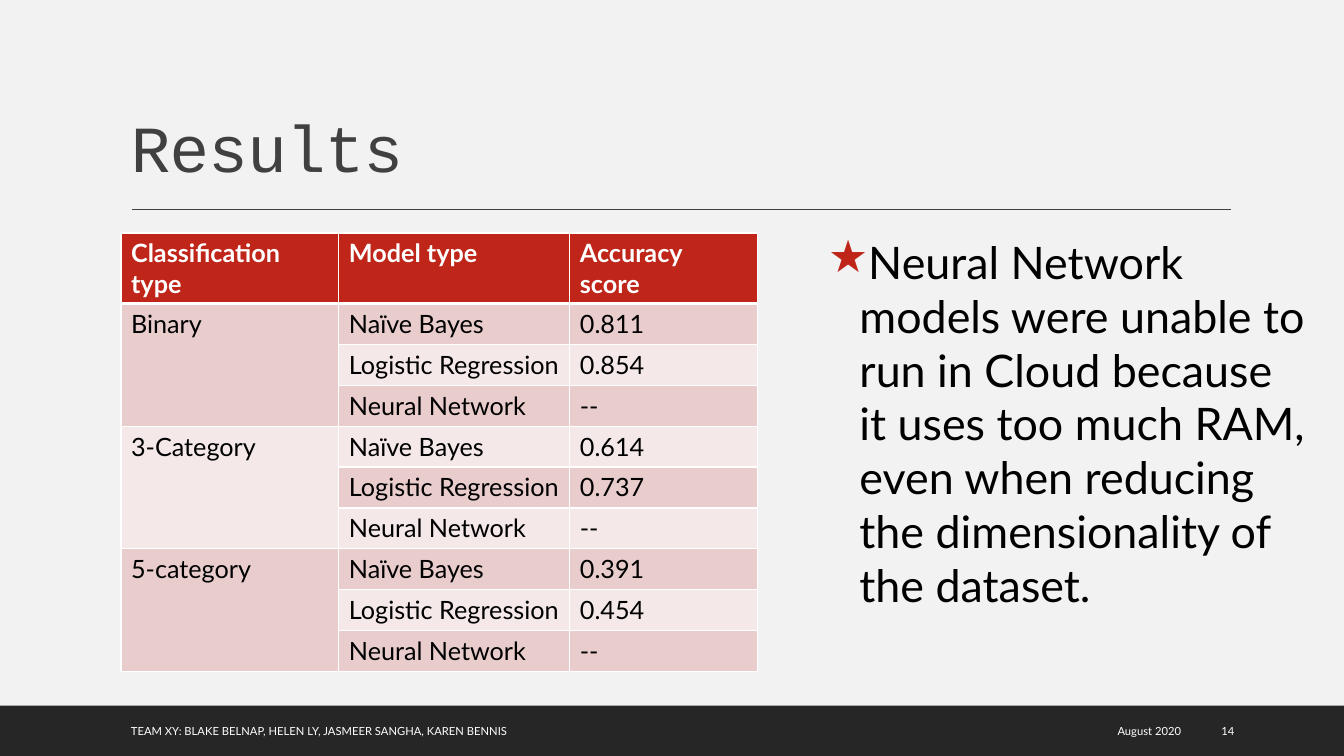
"""Build the classification results slide."""
from lxml.etree import SubElement
from pptx import Presentation
from pptx.dml.color import RGBColor
from pptx.enum.shapes import MSO_CONNECTOR, MSO_SHAPE
from pptx.enum.text import MSO_ANCHOR as Anchor, MSO_AUTO_SIZE as AutoSize, PP_ALIGN as Align
from pptx.oxml.ns import qn
from pptx.util import Cm, Pt


def color(value):
    return RGBColor.from_string(value)


class ResultsSlide:
    body_font = "Lato"
    title_font = "Courier New"
    white, black, dark, gray = "FFFFFF", "000000", "262626", "404040"
    red, bands = "BF2519", ("E8CDCC", "F4E8E8")

    def __init__(self, presentation):
        self.slide = presentation.slides.add_slide(presentation.slide_layouts[6])
        background = self.slide.background.fill
        background.solid()
        background.fore_color.rgb = color("F2F2F2")

    def style(self, paragraph, size, shade, font=None, bold=False):
        paragraph.font.name = font or self.body_font
        paragraph.font.size = Pt(size)
        paragraph.font.bold = bold
        paragraph.font.color.rgb = color(shade)

    def bar(self, left, top, width, height):
        bar = self.slide.shapes.add_shape(
            MSO_SHAPE.RECTANGLE, Cm(left), Cm(top), Cm(width), Cm(height))
        bar.shadow.inherit = False
        bar.fill.solid()
        bar.fill.fore_color.rgb = color(self.dark)
        bar.line.fill.background()

    def rule(self, left, right, y):
        rule = self.slide.shapes.add_connector(
            MSO_CONNECTOR.STRAIGHT, Cm(left), Cm(y), Cm(right), Cm(y))
        rule.line.color.rgb = color(self.gray)
        rule.line.width = Pt(1)
        SubElement(rule._element.spPr, qn("a:effectLst"))

    def text(self, words, left, top, width, height, size, shade,
             font=None, anchor=Anchor.MIDDLE, align=Align.LEFT):
        frame = self.slide.shapes.add_textbox(
            Cm(left), Cm(top), Cm(width), Cm(height)).text_frame
        frame.word_wrap = True
        frame.vertical_anchor = anchor
        paragraph = frame.paragraphs[0]
        paragraph.text = words
        paragraph.alignment = align
        self.style(paragraph, size, shade, font)
        return frame

    def title(self, words):
        frame = self.text(words, 3.05, 0.79, 27.94, 4.04, 47, self.gray,
                          self.title_font, Anchor.BOTTOM)
        paragraph = frame.paragraphs[0]
        paragraph.line_spacing = 0.9
        paragraph.runs[0]._r.get_or_add_rPr().set("spc", "-50")

    def star_note(self, words):
        frame = self.text("", 20.62, 5.79, 12.57, 9.83, 32, self.black, anchor=Anchor.TOP)
        frame.auto_size = AutoSize.SHAPE_TO_FIT_TEXT
        paragraph = frame.add_paragraph() if not frame.paragraphs else frame.paragraphs[0]
        paragraph.text = words
        properties = paragraph._p.get_or_add_pPr()
        properties.set("marL", str(Cm(0.79)))
        properties.set("indent", str(-Cm(0.79)))
        for child in list(properties):
            properties.remove(child)
        bullet_color = SubElement(properties, qn("a:buClr"))
        SubElement(bullet_color, qn("a:srgbClr"), val="BF2419")
        SubElement(properties, qn("a:buChar"), char="★")
        self.style(paragraph, 32, self.black)

    def borders(self, cell, bottom):
        properties = cell._tc.get_or_add_tcPr()
        for side, points in (("L", 1), ("R", 1), ("T", 1), ("B", bottom)):
            edge = SubElement(properties, qn(f"a:ln{side}"), w=str(Pt(points)))
            fill = SubElement(edge, qn("a:solidFill"))
            SubElement(fill, qn("a:srgbClr"), val=self.white)

    def cell(self, cell, words, fill, shade, header=False):
        self.borders(cell, 3 if header else 1)
        cell.fill.solid()
        cell.fill.fore_color.rgb = color(fill)
        paragraph = cell.text_frame.paragraphs[0]
        paragraph.text = words
        self.style(paragraph, 18, shade, bold=header)

    def score_table(self, headings, models, scores):
        row_height, widths = 1.03, (5.49, 5.82, 4.72)
        row_count = 1 + len(models) * len(scores)
        table = self.slide.shapes.add_table(
            row_count, len(headings), Cm(3.05), Cm(5.87),
            Cm(sum(widths)), Cm(row_height * row_count)).table
        for column, width in zip(table.columns, widths):
            column.width = Cm(width)
        for row in table.rows:
            row.height = Cm(row_height)
        for column, heading in enumerate(headings):
            self.cell(table.cell(0, column), heading, self.red, self.white, header=True)
        for group, (category, values) in enumerate(scores.items()):
            first = 1 + group * len(models)
            for offset, (model, score) in enumerate(zip(models, values)):
                row = first + offset
                label = "" if offset else category
                for column, words in enumerate((label, model, score)):
                    band = self.bands[(row - 1) % 2]
                    self.cell(table.cell(row, column), words, band, self.black)
            table.cell(first, 0).merge(table.cell(first + len(models) - 1, 0))

    def footer(self, words, left, width, align=Align.LEFT):
        self.text(words, left, 17.91, width, 1.02, 8, self.white, align=align)


def main():
    presentation = Presentation()
    presentation.slide_width, presentation.slide_height = Cm(33.87), Cm(19.05)
    results = ResultsSlide(presentation)
    results.bar(0, 17.78, 33.87, 1.27)
    results.rule(3.33, 31.01, 5.28)
    results.title("Results")
    results.score_table(
        ("Classification type", "Model type", "Accuracy score"),
        ("Naïve Bayes", "Logistic Regression", "Neural Network"),
        {"Binary": ("0.811", "0.854", "--"),
         "3-Category": ("0.614", "0.737", "--"),
         "5-category": ("0.391", "0.454", "--")})
    results.footer("August 2020", 22.83, 7.19, Align.RIGHT)
    results.footer("TEAM XY: BLAKE BELNAP, HELEN LY, JASMEER SANGHA, KAREN BENNIS", 3.05, 18.95)
    results.footer("14", 30.53, 2.16)
    results.star_note(
        "Neural Network models were unable to run in Cloud because it uses too much RAM, "
        "even when reducing the dimensionality of the dataset.")
    presentation.save("out.pptx")


if __name__ == "__main__":
    main()
